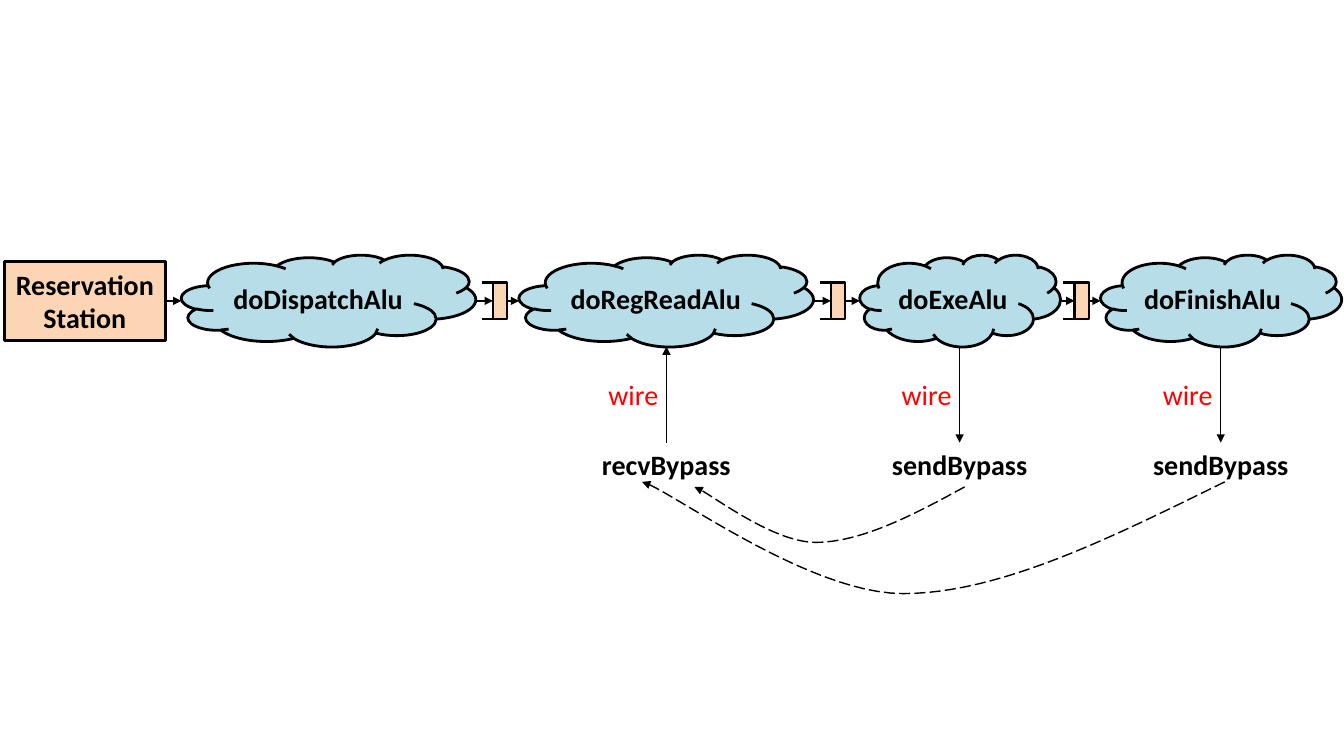
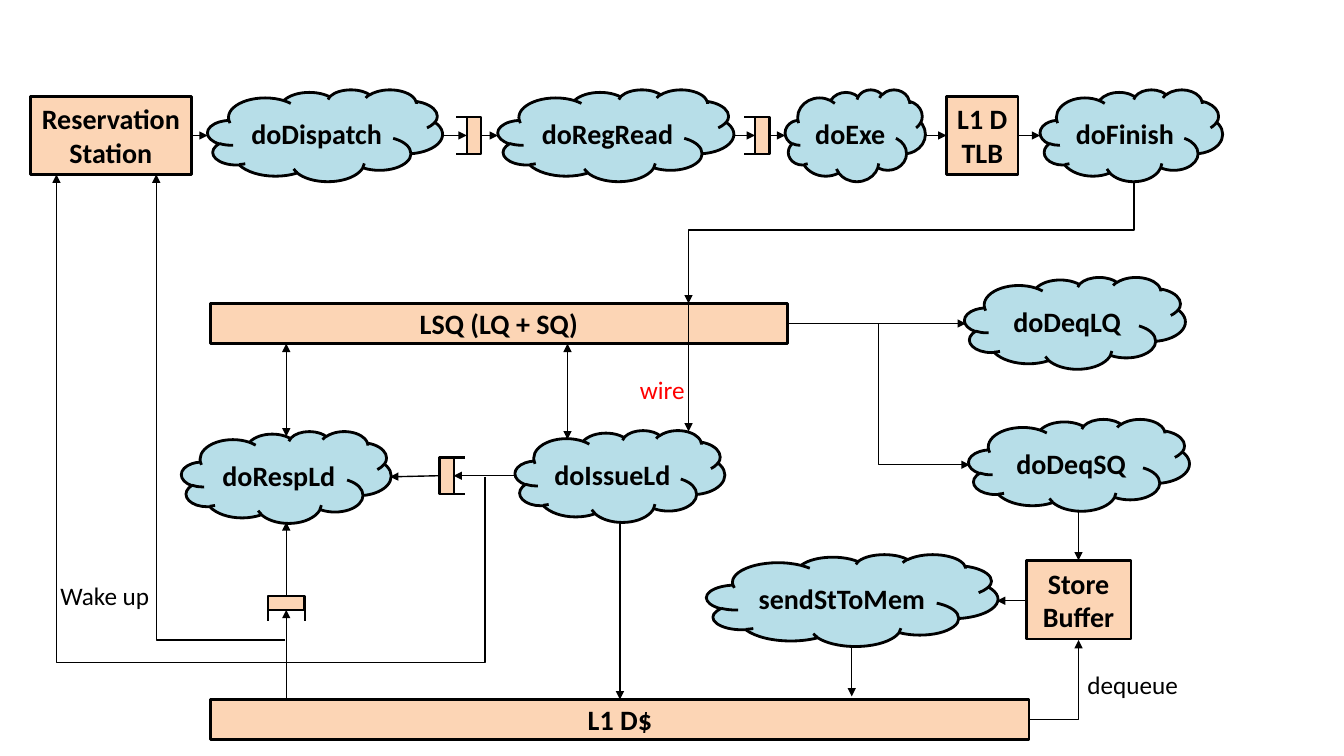
from dataclasses import dataclass

from lxml import etree
from pptx import Presentation
from pptx import util as u
from pptx.dml.color import RGBColor
from pptx.enum import dml, shapes, text
from pptx.oxml.ns import qn

Pt = u.Pt
Point = tuple[float, float]
HUES = {"ink": "000000", "cloud": "B7DEE8", "box": "FCD5B5", "wire": "FF0000"}
FONT = "Calibri"
HIGH = {"cloud": 65.6, "box": 56.2, "bar": 28.8}
SLOT, SPAN, RAIL = 10.4, 26.2, 13.1  # queue thickness, breadth and rail length


@dataclass
class Node:
    """A cloud, box, bar or queue, placed by left edge and middle height."""
    kind: str
    x: float
    y: float
    w: float = SLOT
    label: str = ""


@dataclass
class Link:
    """A straight or bent arrow."""
    start: Point
    end: Point
    both: bool = False
    geom: str = "line"


@dataclass
class Note:
    """Free text, placed by its top left corner."""
    label: str
    x: float
    y: float
    w: float
    hue: str = "ink"


def hue(name: str) -> RGBColor:
    """Look up a colour."""
    return RGBColor.from_string(HUES[name])


def write(frame, label: str, *, size: float = 20, bold: bool = False,
          tint: str = "ink", align=text.PP_ALIGN.CENTER, wrap: bool = True) -> None:
    """Fill a text frame, one paragraph per line."""
    frame.word_wrap = wrap
    frame.text = label
    for par in frame.paragraphs:
        par.alignment = align
        font = par.runs[0].font
        font.name, font.size, font.bold = FONT, Pt(size), bold
        font.color.rgb = hue(tint)


def note(slide, item: Note, high: float = 28.8, **form) -> None:
    """Add a text box."""
    box = slide.shapes.add_textbox(Pt(item.x), Pt(item.y), Pt(item.w), Pt(high))
    write(box.text_frame, item.label, tint=item.hue, **form)


def stroke(item, width: float = 1, tips: tuple = (), dash=None) -> None:
    """Set an outline and its arrowheads."""
    item.line.color.rgb = hue("ink")
    item.line.width = Pt(width)
    if dash:
        item.line.dash_style = dash
    ln = item.element.spPr.find(qn("a:ln"))
    for tip in tips:
        etree.SubElement(ln, qn(f"a:{tip}")).set("type", "triangle")


def solid(slide, form, x: float, y: float, w: float, h: float, fill: str, width: float):
    """Add a filled and outlined shape."""
    item = slide.shapes.add_shape(form, Pt(x), Pt(y), Pt(w), Pt(h))
    item.shadow.inherit = False
    item.fill.solid()
    item.fill.fore_color.rgb = hue(fill)
    stroke(item, width)
    return item


def join(slide, link: Link, width: float = 1, tips: tuple = ("tailEnd",)) -> None:
    """Add a connector."""
    kinds = shapes.MSO_CONNECTOR
    kind = kinds.STRAIGHT if link.geom == "line" else kinds.ELBOW
    item = slide.shapes.add_connector(kind, *map(Pt, link.start + link.end))
    stroke(item, width, ("headEnd", "tailEnd") if link.both else tips)
    frame = item.element.spPr
    frame.find(qn("a:prstGeom")).set("prst", link.geom)
    etree.SubElement(frame, qn("a:effectLst"))


def route(slide, dots: list[Point], dash=None) -> None:
    """Add an open path that ends in an arrowhead."""
    spots = [(Pt(x), Pt(y)) for x, y in dots]
    pen = slide.shapes.build_freeform(*spots[0])
    pen.add_line_segments(spots[1:], close=False)
    item = pen.convert_to_shape()
    item.shadow.inherit = False
    item.fill.background()
    stroke(item, 1, ("tailEnd",), dash)


def curve(a: Point, b: Point, c: Point, d: Point, steps: int = 24) -> list[Point]:
    """Give points along a cubic curve."""
    dots = []
    for i in range(steps + 1):
        t = i / steps
        s = 1 - t
        mix = (s ** 3, 3 * s * s * t, 3 * s * t * t, t ** 3)
        dots.append((sum(m * p[0] for m, p in zip(mix, (a, b, c, d))),
                     sum(m * p[1] for m, p in zip(mix, (a, b, c, d)))))
    return dots


def queue(slide, x: float, y: float, dx: int = -1, dy: int = 0) -> None:
    """Add a queue centred at x, y with its open side towards dx, dy."""
    w, h = (SLOT, SPAN) if dx else (SPAN, SLOT)
    solid(slide, shapes.MSO_SHAPE.RECTANGLE, x - w / 2, y - h / 2, w, h, "box", 1.5)
    for side in (-SPAN / 2, SPAN / 2):
        px, py = x + side * abs(dy), y + side * abs(dx)
        join(slide, Link((px, py), (px + dx * RAIL, py + dy * RAIL)), 1.5, ())


def place(slide, node: Node) -> None:
    """Draw one node."""
    if node.kind == "queue":
        queue(slide, node.x + node.w / 2, node.y)
        return
    high = HIGH[node.kind]
    cloud = node.kind == "cloud"
    form = shapes.MSO_SHAPE.CLOUD if cloud else shapes.MSO_SHAPE.RECTANGLE
    item = solid(slide, form, node.x, node.y - high / 2, node.w, high,
                 "cloud" if cloud else "box", 2)
    frame = item.text_frame
    frame.margin_left = frame.margin_right = 0
    frame.vertical_anchor = text.MSO_ANCHOR.MIDDLE
    write(frame, node.label, bold=True)


def chain(slide, y: float, cells: list[tuple]) -> None:
    """Draw a row of nodes, each joined to the next by an arrow."""
    nodes = [Node(kind, x, y, *rest) for kind, x, *rest in cells]
    for node in nodes:
        place(slide, node)
    for one, two in zip(nodes, nodes[1:]):
        join(slide, Link((one.x + one.w, y), (two.x, y)))


def bypass(slide) -> None:
    """Build the ALU pipeline with its bypass wires."""
    chain(slide, 214.9, [
        ("box", 3, 115.2, "Reservation\nStation"),
        ("cloud", 129.6, 210.2, "doDispatchAlu"),
        ("queue", 352.1),
        ("cloud", 370.8, 210.2, "doRegReadAlu"),
        ("queue", 593.5),
        ("cloud", 614.2, 143.3, "doExeAlu"),
        ("queue", 767.5),
        ("cloud", 786.2, 172.1, "doFinishAlu"),
    ])
    top, base = 247.5, 316.2
    for x, label in ((476, "recvBypass"), (685.5, "sendBypass"), (872, "sendBypass")):
        ends = (x, top), (x, base)
        join(slide, Link(*(ends[::-1] if label == "recvBypass" else ends)))
        note(slide, Note(label, x - 62, base, 124), 31.5, bold=True)
        note(slide, Note("wire", x - 54.2, 266.4, 61.2, "wire"), 31.5)
    arcs = (
        ((689, 347.8), (652.3, 367.9), (615, 387.4), (582.5, 387.4),
         (550, 387.4), (503.3, 349.2), (496, 347.8)),
        ((874.8, 344.2), (794.2, 383.8), (714.2, 424), (645, 424),
         (576, 424), (474.5, 347), (458.6, 344.2)),
    )
    for arc in arcs:
        route(slide, curve(*arc[:4]) + curve(*arc[3:])[1:],
              dml.MSO_LINE.LONG_DASH)


def memory(slide) -> None:
    """Build the memory pipeline."""
    chain(slide, 96.8, [
        ("box", 21.6, 115.2, "Reservation\nStation"),
        ("cloud", 148.3, 167.8, "doDispatch"),
        ("queue", 333.4),
        ("cloud", 355.7, 168.5, "doRegRead"),
        ("queue", 539.3),
        ("cloud", 560.9, 100.1, "doExe"),
        ("box", 676.1, 51.1, "L1 D\nTLB"),
        ("cloud", 743, 130.3, "doFinish"),
    ])
    for node in (
        Node("bar", 150.5, 231.1, 411.8, "LSQ (LQ + SQ)"),
        Node("bar", 150.5, 514.1, 584.6, "L1 D$"),
        Node("box", 733, 428.4, 74.9, "Store\nBuffer"),
        Node("cloud", 689, 230.8, 157.7, "doDeqLQ"),
        Node("cloud", 691.9, 332.2, 157.7, "doDeqSQ"),
        Node("cloud", 129.6, 340.9, 149.8, "doRespLd"),
        Node("cloud", 367.9, 340.2, 149.8, "doIssueLd"),
        Node("cloud", 504.7, 428.8, 208.1, "sendStToMem"),
    ):
        place(slide, node)
    queue(slide, 319.1, 339.9, 1, 0)
    queue(slide, 204.5, 430.6, 0, 1)
    for link in (
        Link((562.3, 231.1), (690, 231.1)),
        Link((562.3, 231.1), (692.6, 332), geom="bentConnector3"),
        Link((735.1, 514.1), (770.4, 457.2), geom="bentConnector2"),
        Link((442.8, 372.2), (442.8, 499.7)),
        Link((368.6, 339.8), (324, 339.8)),
        Link((313.9, 339.8), (278.6, 340.6)),
        Link((405.4, 245.5), (405.4, 313.9), both=True),
        Link((204.5, 245.5), (204.5, 311.8), both=True),
        Link((491.8, 198), (491.8, 216.7)),
        Link((608.4, 461.5), (608.4, 497.5)),
        Link((770.4, 365), (770.4, 400.3)),
        Link((733, 429.1), (712.1, 429.1)),
        Link((204.5, 425.5), (204.5, 373)),
        Link((204.5, 499.7), (204.5, 435.6)),
    ):
        join(slide, link)
    for dots in (
        [(810, 129.6), (810, 164.2), (491.8, 164.2), (491.8, 308.2)],
        [(203.8, 457.2), (111.6, 457.2), (111.6, 124.6)],
        [(346.3, 340.6), (346.3, 473), (40.3, 473), (40.3, 124.6)],
    ):
        route(slide, dots)
    for item in (
        Note("wire", 450, 264.2, 46.8, "wire"),
        Note("Wake up", 36, 411.1, 78.5),
        Note("dequeue", 769.7, 474.5, 79.9),
    ):
        note(slide, item, size=18, align=text.PP_ALIGN.LEFT, wrap=False)


def main() -> None:
    """Build and save the deck."""
    deck = Presentation()
    deck.slide_width, deck.slide_height = Pt(960), Pt(540)
    for build in (bypass, memory):
        build(deck.slides.add_slide(deck.slide_layouts[6]))
    deck.save("out.pptx")


main()
